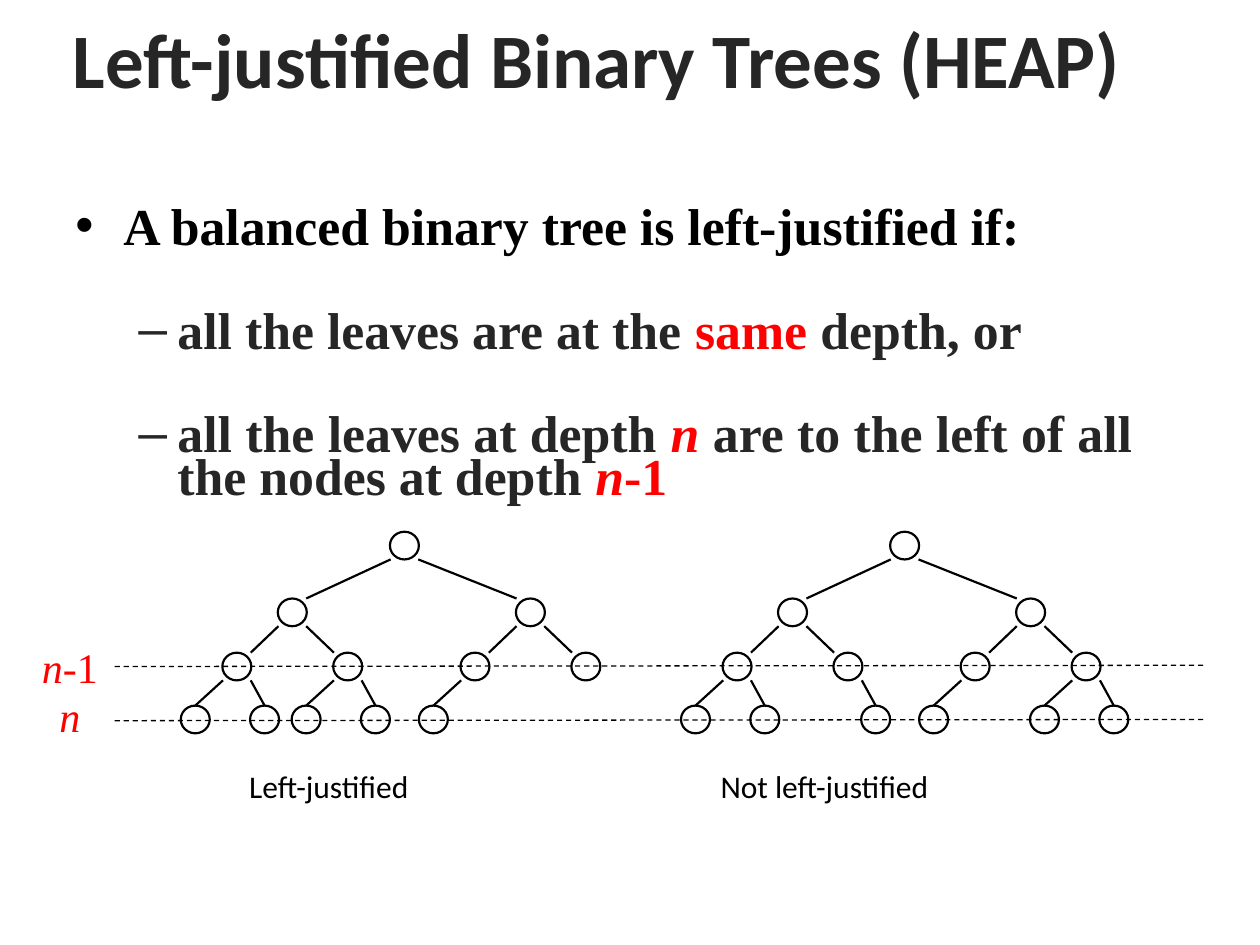
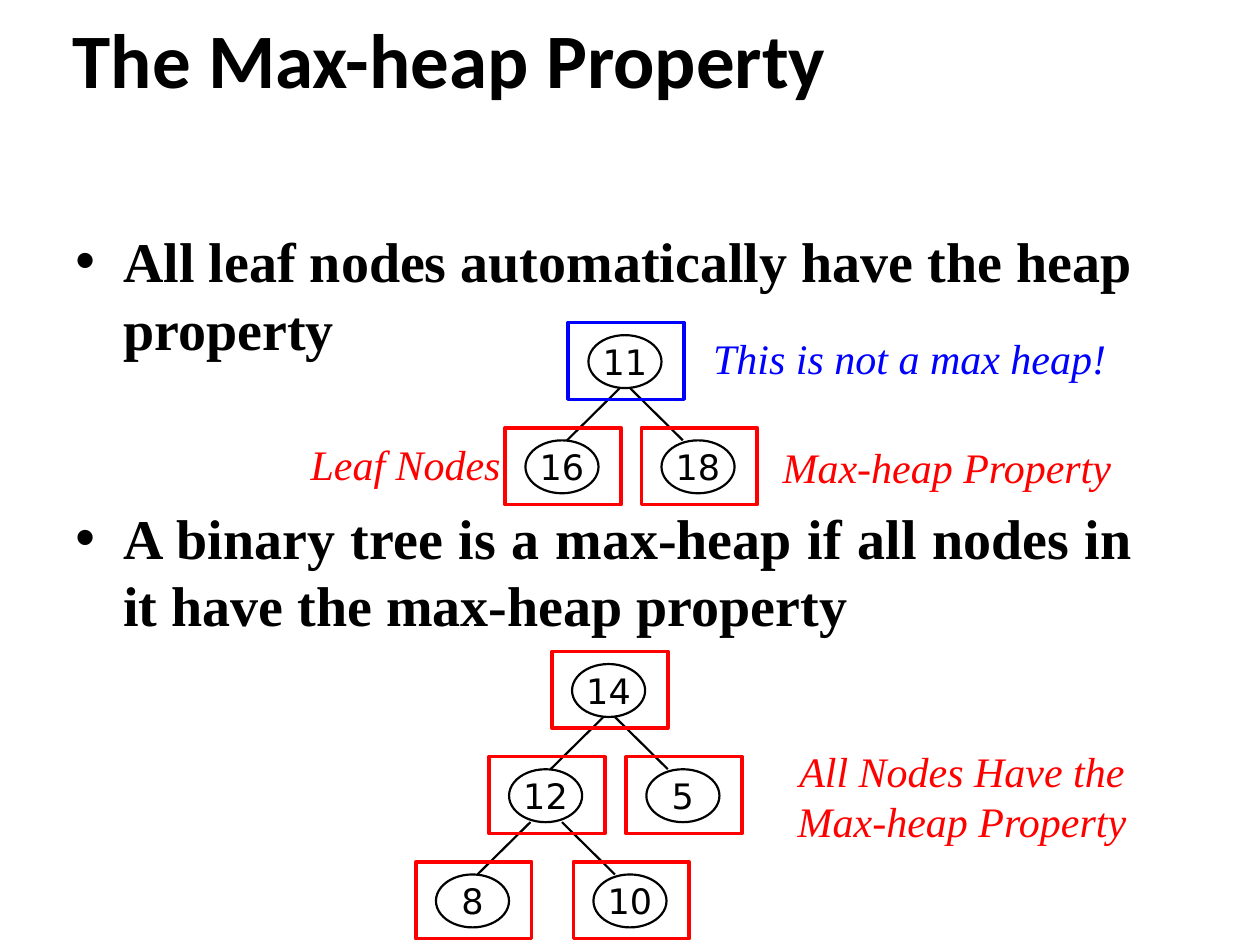
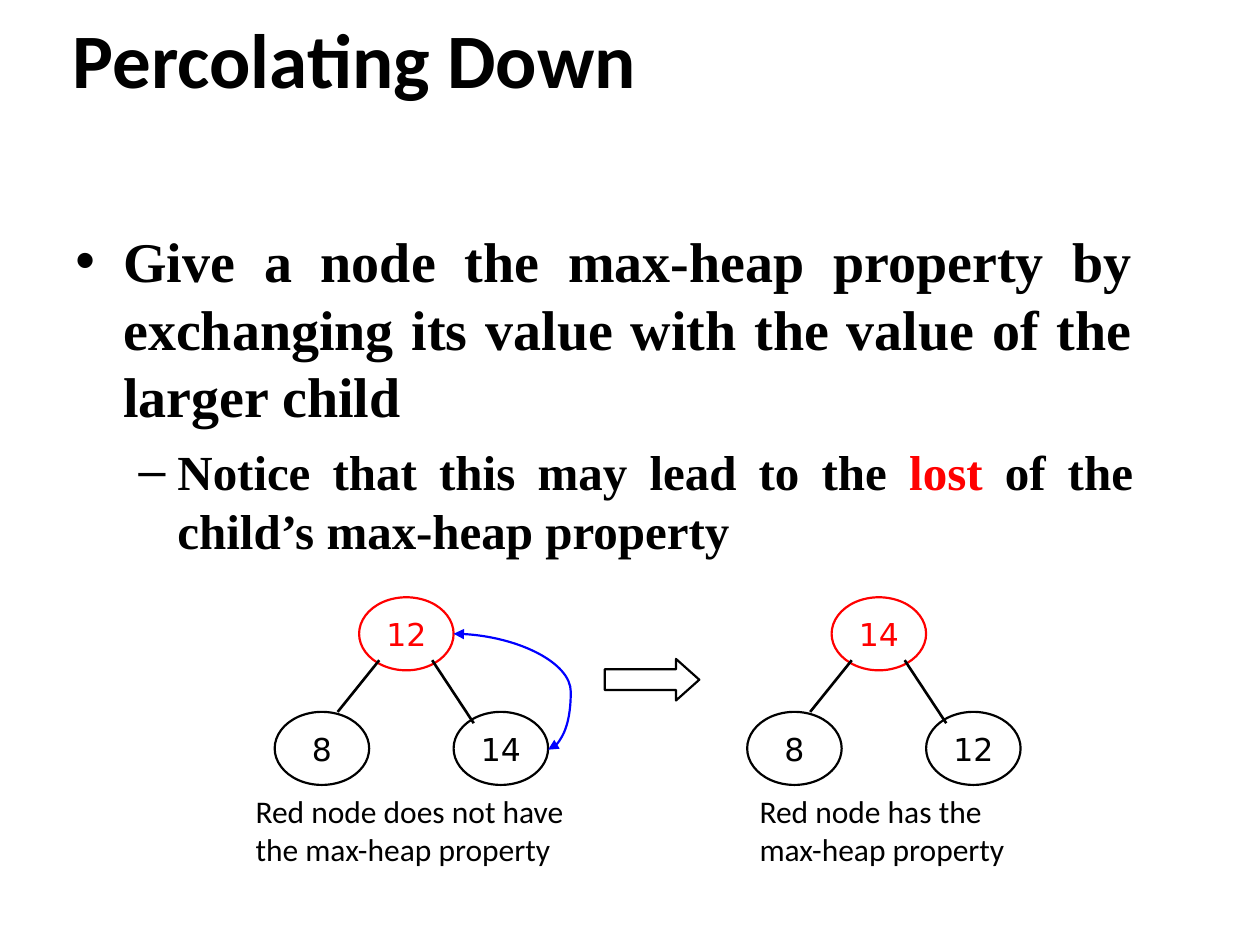
import pptx
import pptx.util
import pptx.dml.color
import pptx.enum.dml
import pptx.enum.shapes
import pptx.enum.text
from lxml import etree
from pptx.oxml.ns import qn

Inches = pptx.util.Inches
Pt = pptx.util.Pt
SHAPE = pptx.enum.shapes.MSO_SHAPE
LINK = pptx.enum.shapes.MSO_CONNECTOR
ALIGN = pptx.enum.text.PP_ALIGN
MIDDLE = pptx.enum.text.MSO_ANCHOR.MIDDLE

COLORS = {"black": "000000", "dark": "262626", "red": "FF0000", "blue": "0000FF"}
HEAD, SERIF, DIGIT = "Calibri", "Times New Roman", "DejaVu Sans"
# Bullet sign, left margin and hanging indent of each text level
LEVELS = [("•", 0.38, -0.38), ("–", 0.81, -0.31)]

# Small trees: node size, row tops, and shifts of left and right child by depth
DOT_W, DOT_H, CORNER = 0.23, 0.22, 0.11
ROWS = [4.22, 4.75, 5.18, 5.6]
SHIFTS = [(-0.89, 1.0), (-0.44, 0.44), (-0.33, 0.22)]


def rgb(color):
    return pptx.dml.color.RGBColor.from_string(COLORS[color])


def style(font, size, name, color="black", bold=False, italic=False):
    font.size, font.name = Pt(size), name
    font.bold, font.italic = bold, italic
    font.color.rgb = rgb(color)


def fill_runs(para, parts):
    """Add runs; a part is plain text or (text, color, italic)."""
    for part in parts:
        run = para.add_run()
        if isinstance(part, str):
            run.text = part
        else:
            run.text, color, run.font.italic = part
            run.font.color.rgb = rgb(color)


def add_text(slide, at, parts, size, name, align=ALIGN.LEFT, anchor=None, **look):
    frame = slide.shapes.add_textbox(*map(Inches, at)).text_frame
    frame.word_wrap = True
    frame.vertical_anchor = anchor
    para = frame.paragraphs[0]
    para.alignment = align
    style(para.font, size, name, **look)
    fill_runs(para, parts)


def add_title(slide, text, color="black"):
    add_text(slide, (0.48, 0.08, 9.19, 0.75), [text], 44, HEAD,
             anchor=MIDDLE, color=color, bold=True)


def add_label(slide, at, parts, color="red"):
    add_text(slide, at, parts, 24, SERIF, ALIGN.CENTER, MIDDLE,
             color=color, italic=True)


def add_note(slide, at, text):
    add_text(slide, at, [text], 18, HEAD)


def add_body(slide, top, height, items):
    """Items are (level, size, line pitch, space before, color, parts)."""
    box = slide.shapes.add_textbox(Inches(0.5), Inches(top), Inches(8.59), Inches(height))
    frame = box.text_frame
    frame.word_wrap = True
    for i, (level, size, pitch, before, color, parts) in enumerate(items):
        para = frame.add_paragraph() if i else frame.paragraphs[0]
        para.level, para.alignment = level, ALIGN.JUSTIFY
        para.line_spacing, para.space_before = Pt(pitch), Pt(before)
        sign, margin, indent = LEVELS[level]
        props = para._p.get_or_add_pPr()
        props.set("marL", str(Inches(margin)))
        props.set("indent", str(Inches(indent)))
        etree.SubElement(props, qn("a:buFont"), typeface="Arial")
        etree.SubElement(props, qn("a:buChar"), char=sign)
        style(para.font, size, SERIF, color, bold=True)
        fill_runs(para, parts)


def add_shape(slide, kind, at, color="black", width=1.25):
    shape = slide.shapes.add_shape(kind, *map(Inches, at))
    shape.shadow.inherit = False
    shape.fill.background()
    shape.line.color.rgb = rgb(color)
    shape.line.width = Pt(width)
    return shape


def add_node(slide, at, value, size, color="black"):
    frame = add_shape(slide, SHAPE.OVAL, at, color).text_frame
    frame.word_wrap = False
    frame.vertical_anchor = MIDDLE
    para = frame.paragraphs[0]
    para.alignment = ALIGN.CENTER
    style(para.font, size, DIGIT, color)
    fill_runs(para, [str(value)])


def add_line(slide, start, end, width=1.25, color="black", kind=LINK.STRAIGHT):
    line = slide.shapes.add_connector(kind, *map(Inches, (*start, *end)))
    line.line.color.rgb = rgb(color)
    line.line.width = Pt(width)
    etree.SubElement(line._element.spPr, qn("a:effectLst"))
    return line


def add_swap(slide, start, end, bulge):
    """Curved arrow with two heads; bulge is its bend as a share of its width."""
    line = add_line(slide, start, end, color="blue", kind=LINK.CURVE)
    guides = line._element.spPr.find(qn("a:prstGeom")).get_or_add_avLst()
    etree.SubElement(guides, qn("a:gd"), name="adj1", fmla=f"val {round(bulge * 100000)}")
    stroke = line.line._get_or_add_ln()
    for tag in ("a:headEnd", "a:tailEnd"):
        etree.SubElement(stroke, qn(tag), type="triangle")


def add_tree(slide, root, leaves):
    """Draw nodes 1 to 7 and the given leaves, numbered as in a heap."""
    mids = {}
    for num in [*range(1, 8), *leaves]:
        depth = num.bit_length() - 1
        top = ROWS[depth]
        if num == 1:
            mids[num] = root
        else:
            up = num // 2
            mids[num] = mids[up] + SHIFTS[depth - 1][num % 2]
            side = 1 if num % 2 else -1
            inset = 0 if depth == 3 else CORNER * side
            add_line(slide, (mids[up] + CORNER * side, ROWS[depth - 1] + DOT_H),
                     (mids[num] - inset, top))
        add_shape(slide, SHAPE.OVAL, (mids[num] - DOT_W / 2, top, DOT_W, DOT_H))


def add_heap(slide, top, nodes, links):
    """Nodes are (value, left, row, box color); links are (x, row, side)."""
    wide, high, pitch = 0.58, 0.42, 0.835
    for value, left, row, _ in nodes:
        add_node(slide, (left, top + row * pitch, wide, high), value, 20)
    for x, row, side in links:
        y = top + row * pitch + high
        add_line(slide, (x, y), (x + 0.42 * side, top + (row + 1) * pitch))
    for _, left, row, color in nodes:
        add_shape(slide, SHAPE.RECTANGLE,
                  (left - 0.16, top + row * pitch - 0.1, 0.92, 0.61), color, 2)


def add_trio(slide, left, values):
    """Red parent with two children."""
    spots = [(0.67, 4.74, "red"), (0, 5.65, "black"), (1.42, 5.65, "black")]
    for value, (x, y, color) in zip(values, spots):
        add_node(slide, (left + x, y, 0.75, 0.58), value, 18, color)
    add_line(slide, (left + 0.83, 5.24), (left + 0.5, 5.65), 1.5)
    add_line(slide, (left + 1.25, 5.24), (left + 1.58, 5.74), 1.5)


def draw_trees(slide):
    add_title(slide, "Left-justified Binary Trees (HEAP)", "dark")
    add_body(slide, 1.48, 2.67, [
        (0, 29.6, 36, 0, "black", ["A balanced binary tree is left-justified if:"]),
        (1, 29.6, 24.6, 34.7, "dark",
         ["all the leaves are at the ", ("same", "red", False), " depth, or"]),
        (1, 29.6, 24.6, 34.7, "dark",
         ["all the leaves at depth ", ("n", "red", True),
          " are to the left of all the nodes at depth ",
          ("n", "red", True), ("-1", "red", False)]),
    ])
    add_tree(slide, 3.21, range(8, 13))
    add_tree(slide, 7.18, [8, 9, 11, 12, 14, 15])
    add_note(slide, (1.88, 6.04, 2.77, 0.64), "Left-justified")
    add_note(slide, (5.62, 6.04, 3.55, 0.64), "Not left-justified")
    add_label(slide, (0.2, 5.1, 0.71, 0.38), ["n", ("-1", "red", False)])
    add_label(slide, (0.2, 5.49, 0.71, 0.38), ["n"])
    for y in (5.29, 5.72):
        line = add_line(slide, (0.91, y), (9.57, y - 0.01), 0.75)
        line.line.dash_style = pptx.enum.dml.MSO_LINE.DASH


def draw_heaps(slide):
    add_title(slide, "The Max-heap Property")
    add_body(slide, 1.75, 4.95, [
        (0, 32, 38.5, 0, "black", ["All leaf nodes automatically have the heap property"]),
        (0, 32, 38.5, 81, "black",
         ["A binary tree is a max-heap if all nodes in it have the max-heap property"]),
    ])
    add_heap(slide, 5.27,
             [(14, 4.54, 0, "red"), (12, 4.04, 1, "red"), (5, 5.13, 1, "red"),
              (8, 3.46, 2, "red"), (10, 4.71, 2, "red")],
             [(4.79, 0, -1), (4.88, 0, 1), (4.21, 1, -1), (4.46, 1, 1)])
    add_heap(slide, 2.66,
             [(11, 4.67, 0, "blue"), (16, 4.17, 1, "red"), (18, 5.25, 1, "red")],
             [(4.92, 0, -1), (5, 0, 1)])
    add_label(slide, (2.3, 3.49, 1.84, 0.38), ["Leaf Nodes"])
    add_label(slide, (6.1, 3.51, 2.83, 0.38), ["Max-heap Property"])
    add_label(slide, (6.1, 5.95, 3.07, 0.73), ["All Nodes Have the Max-heap Property"])
    add_label(slide, (5.55, 2.65, 3.34, 0.38), ["This is not a max heap!"], "blue")


def draw_swap(slide):
    add_title(slide, "Percolating Down")
    add_body(slide, 1.75, 4.95, [
        (0, 32, 38.5, 0, "black",
         ["Give a node the max-heap property by exchanging its value "
          "with the value of the larger child"]),
        (1, 28, 34.2, 6.4, "black",
         ["Notice that this may lead to the ", ("lost", "red", False),
          " of the child’s max-heap property"]),
    ])
    add_trio(slide, 2.18, (12, 8, 14))
    add_trio(slide, 5.93, (14, 8, 12))
    add_note(slide, (1.93, 6.24, 2.83, 0.71), "Red node does not have the max-heap property")
    add_note(slide, (5.93, 6.24, 2.17, 0.71), "Red node has the max-heap property")
    arrow = add_shape(slide, SHAPE.RIGHT_ARROW, (4.8, 5.23, 0.75, 0.33))
    arrow.adjustments[1] = 0.56
    add_swap(slide, (3.6, 5.03), (4.35, 5.95), 1.24)


def main():
    deck = pptx.Presentation()
    deck.slide_width, deck.slide_height = Inches(10), Inches(7.5)
    for draw in (draw_trees, draw_heaps, draw_swap):
        draw(deck.slides.add_slide(deck.slide_layouts[6]))
    deck.save("out.pptx")


if __name__ == "__main__":
    main()
